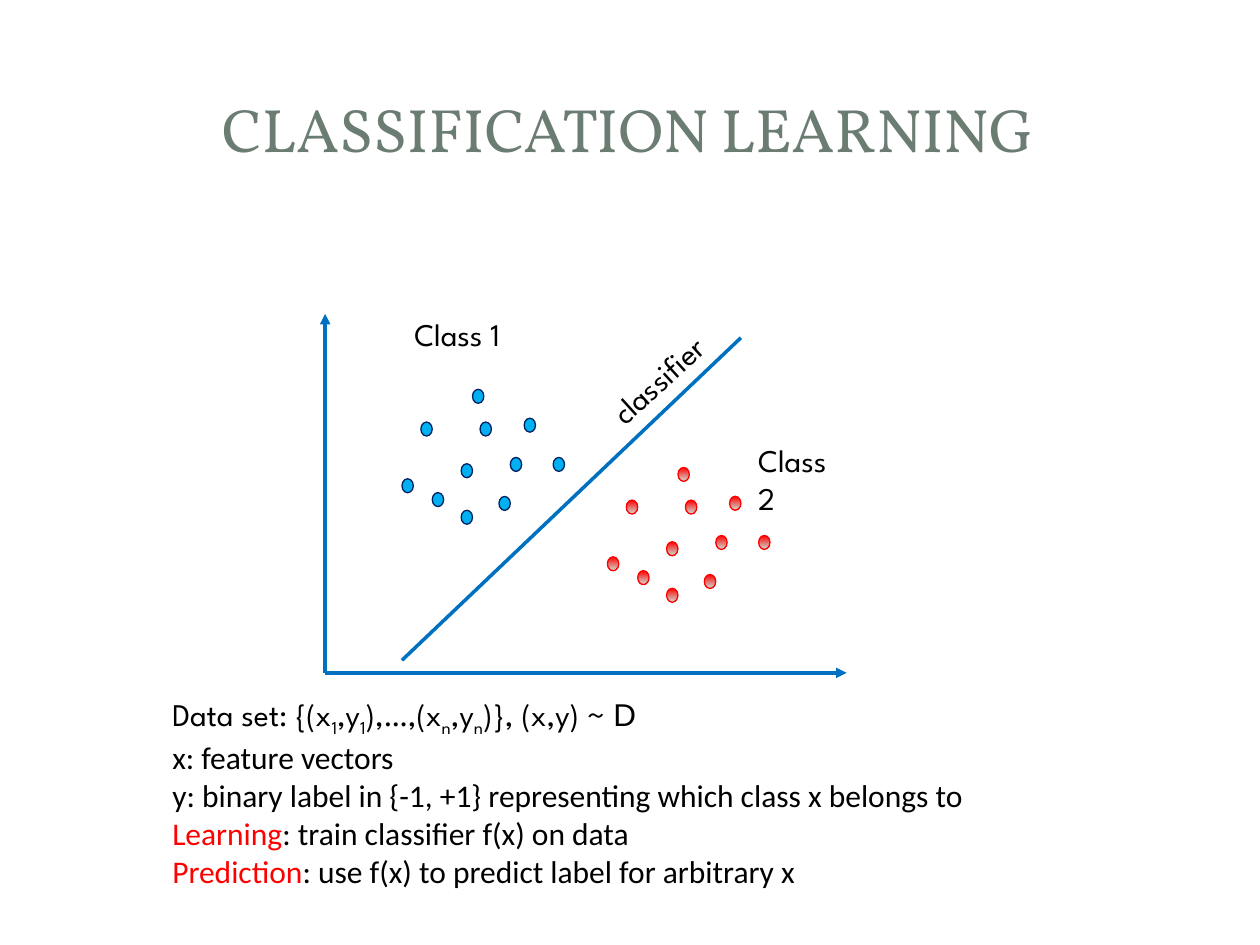
from pptx import Presentation
from pptx.dml.color import RGBColor
from pptx.enum.shapes import MSO_CONNECTOR, MSO_SHAPE
from pptx.enum.text import MSO_ANCHOR, MSO_AUTO_SIZE, PP_ALIGN
from pptx.oxml.ns import qn
from pptx.util import Pt
from lxml import etree

OVAL = MSO_SHAPE.OVAL
STRAIGHT = MSO_CONNECTOR.STRAIGHT

COLORS = {
    "title": "6B7D72", "text": "000000", "keyword": "FF0000", "line": "0070C0",
    "class1": "00B0F0", "class1_edge": "002060",
    "class2": "FF0000", "class2_fade": "CCDDD3",
}
HEADING_FONT, LABEL_FONT, BODY_FONT, SET_FONT = "Vollkorn", "League Spartan", "Calibri", "Arial"

TITLE = "CLASSIFICATION LEARNING"

# Each run: text, font, colour, subscript
DATA_SET = [
    (text, LABEL_FONT, "text", text in ("1", "n"))
    for text in ("Data set: {(x", "1", ",y", "1", "),…,(x", "n", ",y", "n", ")}, (x,y) ~ ")
] + [("D", SET_FONT, "text", False)]
# Each line: keyword, explanation
DEFINITIONS = [
    ("", "x: feature vectors"),
    ("", "y: binary label in {-1, +1} representing which class x belongs to"),
    ("Learning", ": train classifier f(x) on data"),
    ("Prediction", ": use f(x) to predict label for arbitrary x"),
]

# Both classes share one cluster of points; class 2 is shifted
DOT_SIZE = (6.5, 8)
CLUSTER = [
    (274.3, 241.2), (229.7, 273.6), (263.5, 265), (299.5, 239), (291.6, 261.4), (247, 281.5),
    (316.1, 261.4), (285.1, 283.7), (240.5, 241.2), (263.5, 291.6), (270, 222.5),
]
CLASS2_SHIFT = (117.4, 44.6)

# Each line: start, end, arrowhead
ORIGIN = (185.8, 384.5)
LINES = [
    (ORIGIN, (483.8, 384.5), True),
    (ORIGIN, (185.8, 179.3), True),
    ((229.7, 377.3), (423.4, 193), False),
]
# Each label: text, box, rotation, wrap
LABELS = [
    ("Class 1", (229.7, 176.4, 64.8, 29), 0, False),
    ("Class 2", (426.2, 248.4, 64.8, 29), 0, True),
    ("classifier", (337, 202.3, 78.5, 29), 317.7, False),
]


def color(name):
    return RGBColor.from_string(COLORS[name])


def add_run(paragraph, text, font_name, color_name, size=18, subscript=False):
    run = paragraph.add_run()
    run.text = text
    run.font.name, run.font.size = font_name, Pt(size)
    run.font.color.rgb = color(color_name)
    if subscript:
        run.font._element.set("baseline", "-25000")


def add_text_box(slide, box, wrap):
    shape = slide.shapes.add_textbox(*map(Pt, box))
    shape.text_frame.word_wrap = wrap
    shape.text_frame.auto_size = MSO_AUTO_SIZE.SHAPE_TO_FIT_TEXT
    return shape


def add_dot(slide, left, top, edge):
    dot = slide.shapes.add_shape(OVAL, Pt(left), Pt(top), *map(Pt, DOT_SIZE))
    dot.shadow.inherit = False
    dot.line.color.rgb = color(edge)
    dot.line.width = Pt(0.75)
    return dot


def add_line(slide, start, end, arrow):
    connector = slide.shapes.add_connector(STRAIGHT, *map(Pt, start + end))
    connector.line.color.rgb = color("line")
    connector.line.width = Pt(2)
    if arrow:
        etree.SubElement(connector.line._get_or_add_ln(), qn("a:tailEnd"), type="triangle")
    etree.SubElement(connector._element.spPr, qn("a:effectLst"))


presentation = Presentation()
presentation.slide_width, presentation.slide_height = Pt(720), Pt(540)
slide = presentation.slides.add_slide(presentation.slide_layouts[5])

# Title
title = slide.shapes.title
title.left, title.top, title.width, title.height = map(Pt, (33.8, 32.4, 650.2, 82))
title.text_frame.vertical_anchor = MSO_ANCHOR.MIDDLE
paragraph = title.text_frame.paragraphs[0]
paragraph.alignment = PP_ALIGN.CENTER
add_run(paragraph, TITLE, HEADING_FONT, "title", 35)

# Definitions
text_frame = add_text_box(slide, (91.4, 393.8, 472.3, 116.6), False).text_frame
for run in DATA_SET:
    text, font_name, color_name, subscript = run
    add_run(text_frame.paragraphs[0], text, font_name, color_name, subscript=subscript)
for keyword, explanation in DEFINITIONS:
    paragraph = text_frame.add_paragraph()
    if keyword:
        add_run(paragraph, keyword, BODY_FONT, "keyword")
    add_run(paragraph, explanation, BODY_FONT, "text")

# Class 1 points
for left, top in CLUSTER:
    dot = add_dot(slide, left, top, "class1_edge")
    dot.fill.solid()
    dot.fill.fore_color.rgb = color("class1")

# Class 2 points
for left, top in CLUSTER:
    dot = add_dot(slide, left + CLASS2_SHIFT[0], top + CLASS2_SHIFT[1], "class2")
    dot.fill.gradient()
    dot.fill.gradient_angle = 270
    for stop, name, position in zip(dot.fill.gradient_stops, ("class2", "class2_fade"), (0, 1)):
        stop.color.rgb = color(name)
        stop.position = position

# Axes and classifier line
for start, end, arrow in LINES:
    add_line(slide, start, end, arrow)

# Labels
for text, box, rotation, wrap in LABELS:
    label = add_text_box(slide, box, wrap)
    label.rotation = rotation
    add_run(label.text_frame.paragraphs[0], text, LABEL_FONT, "text")

presentation.save("out.pptx")
